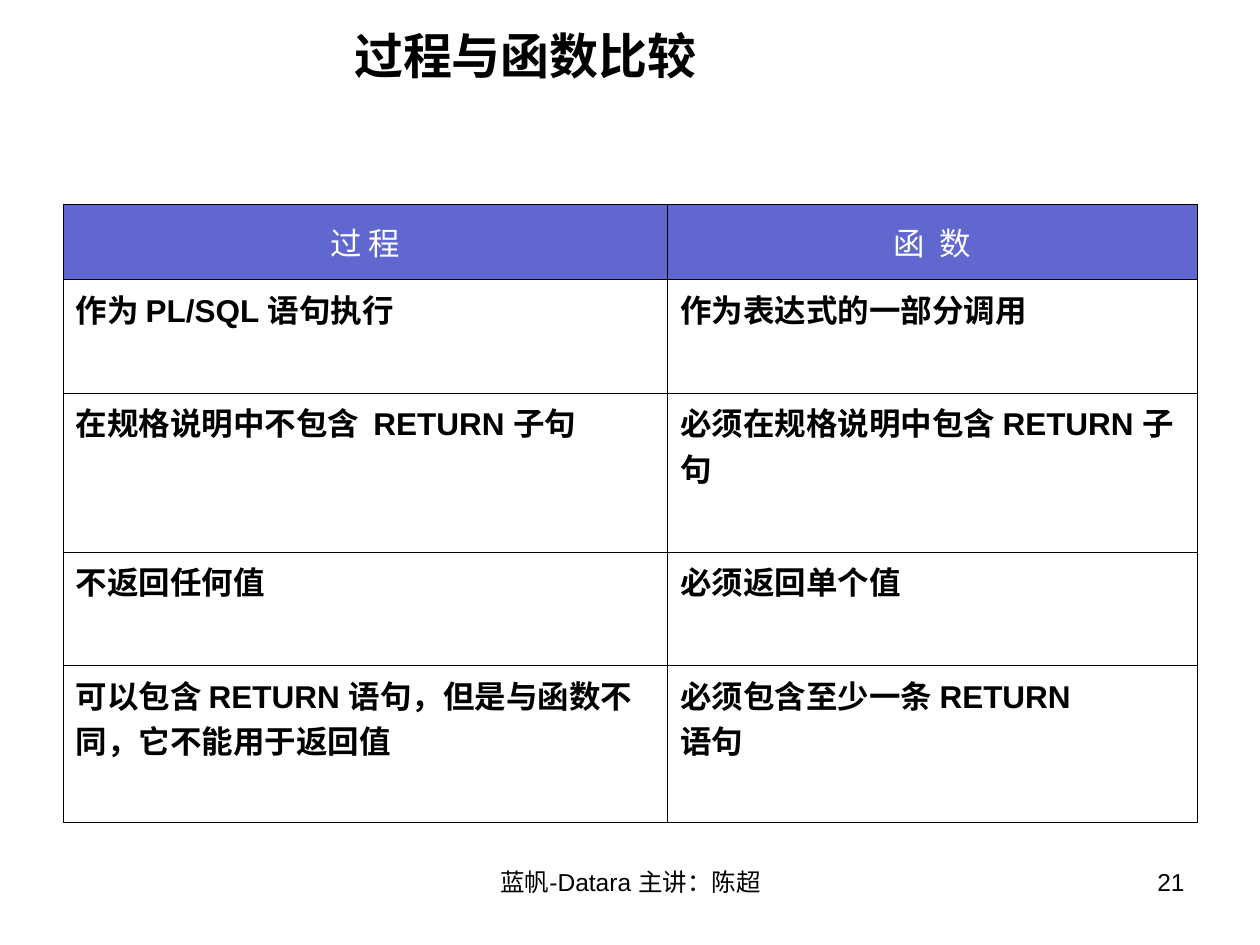
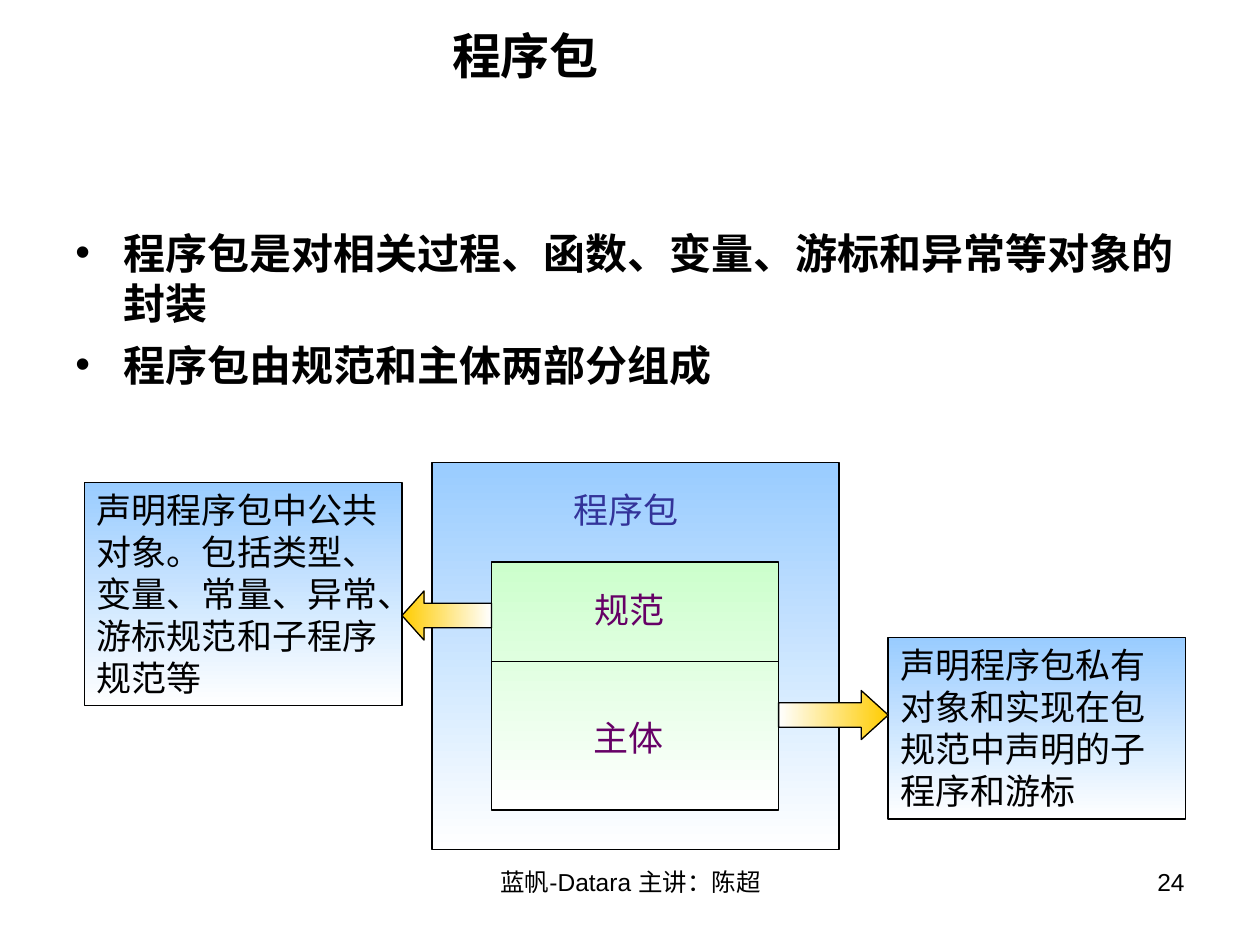
from lxml.etree import SubElement
from pptx import Presentation
from pptx.dml.color import RGBColor
from pptx.enum.shapes import MSO_CONNECTOR, MSO_SHAPE
from pptx.enum.text import MSO_ANCHOR, PP_ALIGN
from pptx.oxml.ns import qn
from pptx.util import Emu, Pt

EMU_PER_PX = 9144
FONT = "Arial"
BLACK = RGBColor(0x00, 0x00, 0x00)
WHITE = RGBColor(0xFF, 0xFF, 0xFF)
HEADER_BLUE = RGBColor(0x60, 0x67, 0xCF)
SKY = RGBColor(0x99, 0xCC, 0xFF)
MINT = RGBColor(0xCC, 0xFF, 0xCC)
GOLD = RGBColor(0xFF, 0xCC, 0x00)
INDIGO = RGBColor(0x33, 0x33, 0x99)
PURPLE = RGBColor(0x66, 0x00, 0x66)
DOWNWARD = 270
FOOTER = "蓝帆-Datara 主讲：陈超"

COMPARISON = [
    ("过 程", "函  数"),
    ("作为 PL/SQL 语句执行", "作为表达式的一部分调用"),
    ("在规格说明中不包含  RETURN 子句", "必须在规格说明中包含 RETURN 子句"),
    ("不返回任何值", "必须返回单个值"),
    ("可以包含 RETURN 语句，但是与函数不同，它不能用于返回值", "必须包含至少一条 RETURN \n语句"),
]


def px(value):
    return Emu(value * EMU_PER_PX)


class Deck:
    def __init__(self):
        self.presentation = Presentation()
        self.presentation.slide_width = px(1000)
        self.presentation.slide_height = px(750)
        self.slide = None

    def new_slide(self, title, number):
        self.slide = self.presentation.slides.add_slide(self.presentation.slide_layouts[6])
        self.text((-20, -22, 874, 121), title, 28, bold=True, align=PP_ALIGN.CENTER,
                  anchor=MSO_ANCHOR.MIDDLE, spacing=41)
        self.text((717, 683, 233, 52), str(number), 14, align=PP_ALIGN.RIGHT)
        self.text((342, 683, 317, 52), FOOTER, 14, align=PP_ALIGN.CENTER)

    def fill_paragraph(self, paragraph, content, size, color=BLACK, bold=False,
                       align=PP_ALIGN.LEFT, spacing=None):
        paragraph.alignment = align
        paragraph.line_spacing = Pt(spacing or round(size * 1.2))
        for index, line in enumerate(content.split("\n")):
            if index:
                paragraph.add_line_break()
            run = paragraph.add_run()
            run.text = line
            run.font.name = FONT
            run.font.size = Pt(size)
            run.font.bold = bold
            run.font.color.rgb = color

    def text(self, box, content, size, anchor=MSO_ANCHOR.TOP, **style):
        frame = self.slide.shapes.add_textbox(*map(px, box)).text_frame
        frame.word_wrap = True
        frame.vertical_anchor = anchor
        self.fill_paragraph(frame.paragraphs[0], content, size, **style)

    def bullets(self, box, items, size):
        frame = self.slide.shapes.add_textbox(*map(px, box)).text_frame
        frame.word_wrap = True
        for index, item in enumerate(items):
            paragraph = frame.add_paragraph() if index else frame.paragraphs[0]
            self.fill_paragraph(paragraph, item, size, bold=True)
            paragraph.space_before = Pt(6)
            properties = paragraph._p.get_or_add_pPr()
            properties.set("marL", str(px(38)))
            properties.set("indent", str(px(-38)))
            SubElement(properties, qn("a:buFont"), typeface=FONT)
            SubElement(properties, qn("a:buChar"), char="•")

    def gradient_shape(self, kind, box, start, end, angle=DOWNWARD, line_width=0.75):
        shape = self.slide.shapes.add_shape(kind, *map(px, box))
        shape.shadow.inherit = False
        shape.fill.gradient()
        shape.fill.gradient_angle = angle
        for stop, color, position in zip(shape.fill.gradient_stops, (start, end), (0, 1)):
            stop.color.rgb = color
            stop.position = position
        shape.line.color.rgb = BLACK
        shape.line.width = Pt(line_width)
        return shape

    def note(self, box, content):
        shape = self.gradient_shape(MSO_SHAPE.RECTANGLE, box, SKY, WHITE, line_width=1)
        frame = shape.text_frame
        frame.word_wrap = True
        frame.vertical_anchor = MSO_ANCHOR.TOP
        self.fill_paragraph(frame.paragraphs[0], content, 20)

    def arrow(self, kind, box, start, end, head):
        shape = self.gradient_shape(kind, box, start, end, angle=0)
        shape.adjustments[0] = 0.5
        shape.adjustments[1] = head

    def line(self, left, top, right, bottom):
        connector = self.slide.shapes.add_connector(
            MSO_CONNECTOR.STRAIGHT, *map(px, (left, top, right, bottom)))
        connector.line.color.rgb = BLACK
        connector.line.width = Pt(0.75)
        SubElement(connector._element.spPr, qn("a:effectLst"))

    def border(self, cell):
        properties = cell._tc.get_or_add_tcPr()
        for index, side in enumerate(("lnL", "lnR", "lnT", "lnB")):
            edge = properties.makeelement(qn(f"a:{side}"), {"w": str(Pt(0.45))})
            fill = SubElement(edge, qn("a:solidFill"))
            SubElement(fill, qn("a:srgbClr"), val=str(BLACK))
            properties.insert(index, edge)

    def table(self, left, top, widths, heights, rows):
        table = self.slide.shapes.add_table(
            len(rows), len(widths),
            *map(px, (left, top, sum(widths), sum(heights)))).table
        table.first_row = table.horz_banding = False
        for column, width in zip(table.columns, widths):
            column.width = px(width)
        for row_index, (row, height, values) in enumerate(zip(table.rows, heights, rows)):
            row.height = px(height)
            header = row_index == 0
            for cell, value in zip(row.cells, values):
                cell.fill.solid()
                cell.fill.fore_color.rgb = HEADER_BLUE if header else WHITE
                cell.vertical_anchor = MSO_ANCHOR.MIDDLE if header else MSO_ANCHOR.TOP
                self.fill_paragraph(cell.text_frame.paragraphs[0], value, 18,
                                    color=WHITE if header else BLACK, bold=not header,
                                    align=PP_ALIGN.CENTER if header else PP_ALIGN.LEFT,
                                    spacing=26)
                self.border(cell)


def comparison_slide(deck):
    deck.new_slide("过程与函数比较", 21)
    deck.table(50, 162, (480, 420), (60, 90, 126, 90, 125), COMPARISON)


def package_slide(deck):
    deck.new_slide("程序包", 24)
    deck.bullets((50, 175, 900, 169), [
        "程序包是对相关过程、函数、变量、游标和异常等对象的封装",
        "程序包由规范和主体两部分组成",
    ], 24)
    deck.note((67, 383, 252, 177), "声明程序包中公共对象。包括类型、变量、常量、异常、游标规范和子程序规范等")
    deck.note((705, 506, 236, 144), "声明程序包私有对象和实现在包规范中声明的子程序和游标")
    deck.gradient_shape(MSO_SHAPE.RECTANGLE, (343, 367, 323, 307), SKY, WHITE)
    deck.text((445, 383, 142, 44), "程序包", 20, color=INDIGO)
    deck.gradient_shape(MSO_SHAPE.RECTANGLE, (390, 446, 228, 197), MINT, WHITE)
    deck.line(390, 525, 618, 525)
    deck.text((437, 462, 126, 44), "规范", 20, color=PURPLE, align=PP_ALIGN.CENTER)
    deck.text((461, 564, 102, 44), "主体", 20, color=PURPLE)
    deck.arrow(MSO_SHAPE.LEFT_ARROW, (319, 469, 71, 39), GOLD, WHITE, 0.45)
    deck.arrow(MSO_SHAPE.RIGHT_ARROW, (618, 548, 87, 39), WHITE, GOLD, 0.55)


def main():
    deck = Deck()
    comparison_slide(deck)
    package_slide(deck)
    deck.presentation.save("out.pptx")


if __name__ == "__main__":
    main()
